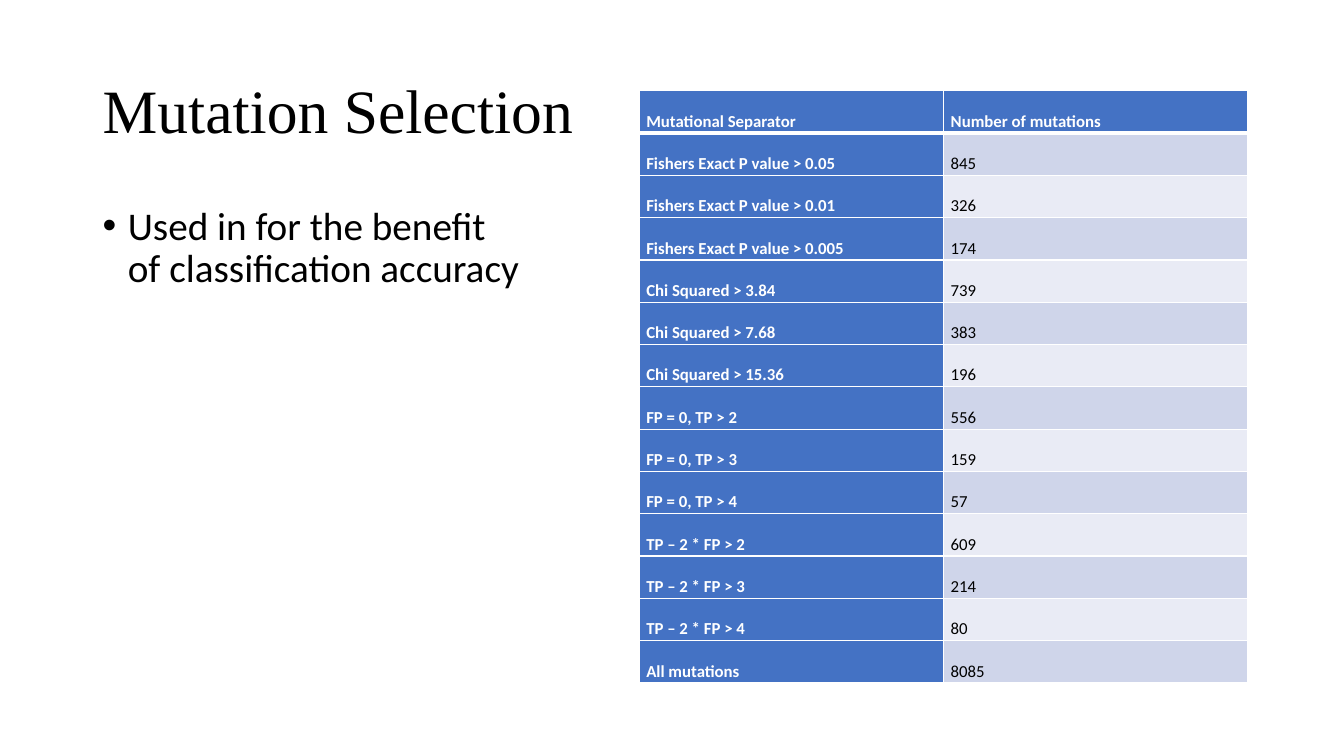
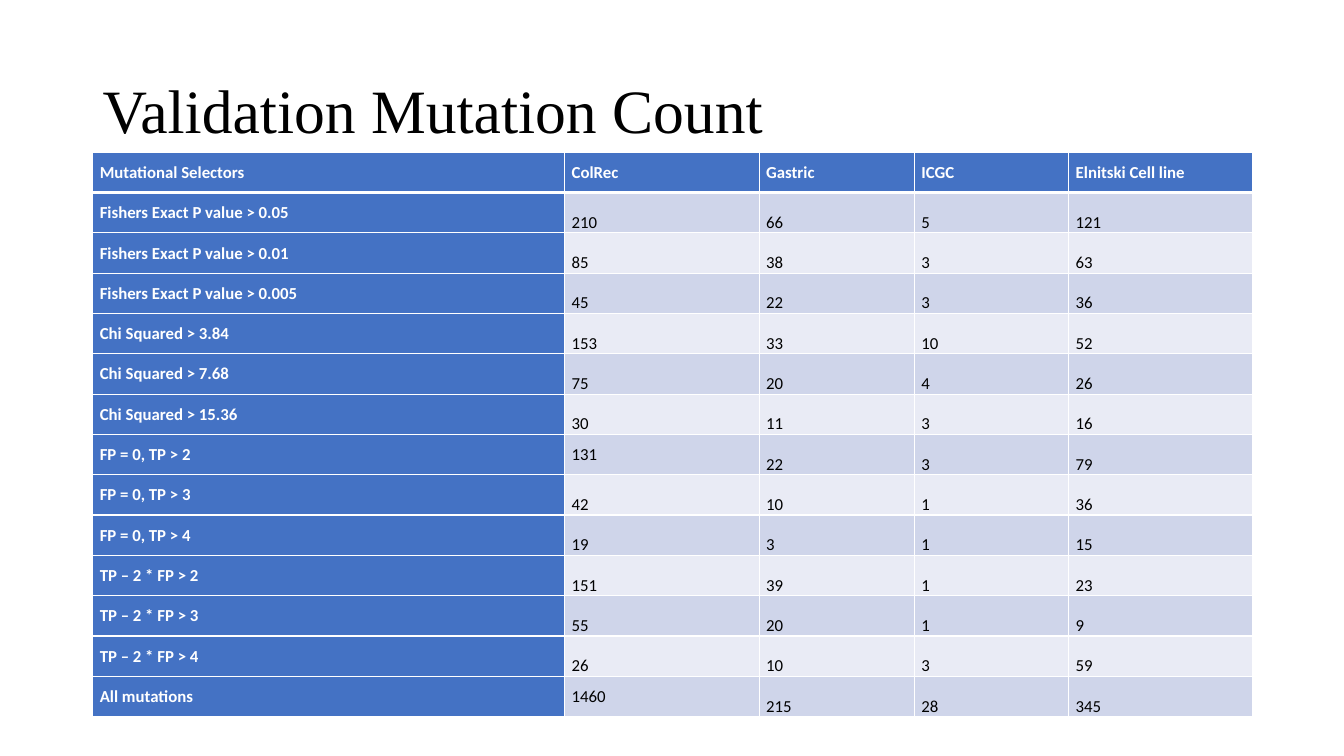
from lxml import etree
from pptx import Presentation, util as u
from pptx.dml.color import RGBColor
from pptx.enum import text
from pptx.oxml.ns import qn

BLACK, WHITE, BLUE = "000000", "FFFFFF", "4472C4"
BANDS = ["CFD5EA", "E9EBF5"]
TITLE = {"name": "Times New Roman", "size": u.Pt(44)}
BODY = {"name": "Calibri", "size": u.Pt(28)}
LABEL = {"name": "Calibri", "size": u.Pt(12), "bold": True}
VALUE = {**LABEL, "bold": False}
TOP, BOTTOM = text.MSO_ANCHOR.TOP, text.MSO_ANCHOR.BOTTOM

SELECTORS = [
    "Fishers Exact P value > 0.05",
    "Fishers Exact P value > 0.01",
    "Fishers Exact P value > 0.005",
    "Chi Squared > 3.84",
    "Chi Squared > 7.68",
    "Chi Squared > 15.36",
    "FP = 0, TP > 2",
    "FP = 0, TP > 3",
    "FP = 0, TP > 4",
    "TP – 2 * FP > 2",
    "TP – 2 * FP > 3",
    "TP – 2 * FP > 4",
    "All mutations",
]

PAGES = [
    {
        "title": "Mutation Selection",
        "bullet": "Used in for the benefit of classification accuracy",
        "place": (6.34, 0.9),
        "columns": [3.02, 3.01],
        "row_height": 0.42,
        "spacing": 2.0,
        "value_anchor": TOP,
        "top_cells": [],
        "header": ["Mutational Separator", "Number of mutations"],
        "values": [[845], [326], [174], [739], [383], [196], [556],
                   [159], [57], [609], [214], [80], [8085]],
    },
    {
        "title": "Validation Mutation Count",
        "bullet": None,
        "place": (0.92, 1.51),
        "columns": [4.68, 1.93, 1.54, 1.53, 1.82],
        "row_height": 0.4,
        "spacing": 1.5,
        "value_anchor": BOTTOM,
        "top_cells": [(7, 1), (13, 1)],
        "header": ["Mutational Selectors", "ColRec", "Gastric", "ICGC", "Elnitski Cell line"],
        "values": [
            [210, 66, 5, 121],
            [85, 38, 3, 63],
            [45, 22, 3, 36],
            [153, 33, 10, 52],
            [75, 20, 4, 26],
            [30, 11, 3, 16],
            [131, 22, 3, 79],
            [42, 10, 1, 36],
            [19, 3, 1, 15],
            [151, 39, 1, 23],
            [55, 20, 1, 9],
            [26, 10, 3, 59],
            [1460, 215, 28, 345],
        ],
    },
]


def paint(color_format, color):
    color_format.rgb = RGBColor.from_string(color)


def write(frame, words, formats, color, spacing):
    para = frame.paragraphs[0]
    para.line_spacing = spacing
    span = para.add_run()
    span.text = words
    for name, value in formats.items():
        setattr(span.font, name, value)
    paint(span.font.color, color)
    return para


deck = Presentation()
deck.slide_width, deck.slide_height = u.Inches(13.33), u.Inches(7.5)

for content in PAGES:
    page = deck.slides.add_slide(deck.slide_layouts[6])

    title = page.shapes.add_textbox(u.Inches(0.92), u.Inches(0.4), u.Inches(11.5), u.Inches(1.45))
    title.text_frame.word_wrap = True
    title.text_frame.vertical_anchor = text.MSO_ANCHOR.MIDDLE
    write(title.text_frame, content["title"], TITLE, BLACK, 0.9)

    if content["bullet"]:
        box = page.shapes.add_textbox(u.Inches(0.92), u.Inches(2), u.Inches(4.36), u.Inches(4.76))
        box.text_frame.word_wrap = True
        para = write(box.text_frame, content["bullet"], BODY, BLACK, 0.9)
        para.space_before = u.Pt(10)
        properties = para._p.get_or_add_pPr()
        properties.set("marL", str(u.Inches(0.25)))
        properties.set("indent", str(-u.Inches(0.25)))
        etree.SubElement(properties, qn("a:buFont"), typeface="Arial")
        etree.SubElement(properties, qn("a:buChar"), char="•")

    rows = [content["header"]]
    rows += [[selector, *counts] for selector, counts in zip(SELECTORS, content["values"])]
    left, top = content["place"]
    table = page.shapes.add_table(
        len(rows), len(content["columns"]), u.Inches(left), u.Inches(top),
        u.Inches(sum(content["columns"])), u.Inches(content["row_height"] * len(rows))).table
    for column, width in zip(table.columns, content["columns"]):
        column.width = u.Inches(width)

    for r, row in enumerate(rows):
        table.rows[r].height = u.Inches(content["row_height"])
        for c, entry in enumerate(row):
            cell = table.cell(r, c)
            is_label = r == 0 or c == 0
            cell.margin_left = cell.margin_right = u.Inches(0.07)
            cell.margin_top = cell.margin_bottom = 0
            at_top = is_label or (r, c) in content["top_cells"]
            cell.vertical_anchor = TOP if at_top else content["value_anchor"]
            write(cell.text_frame, str(entry), LABEL if is_label else VALUE,
                  WHITE if is_label else BLACK, content["spacing"])

            for side in "LRTB":
                thick = (r == 0 and side == "B") or (r == 1 and side == "T")
                line = etree.SubElement(cell._tc.get_or_add_tcPr(), qn(f"a:ln{side}"),
                                        w=str(u.Pt(3 if thick else 1)))
                fill = etree.SubElement(line, qn("a:solidFill"))
                etree.SubElement(fill, qn("a:srgbClr"), val=WHITE)
            cell.fill.solid()
            paint(cell.fill.fore_color, BLUE if is_label else BANDS[(r - 1) % 2])

deck.save("out.pptx")
